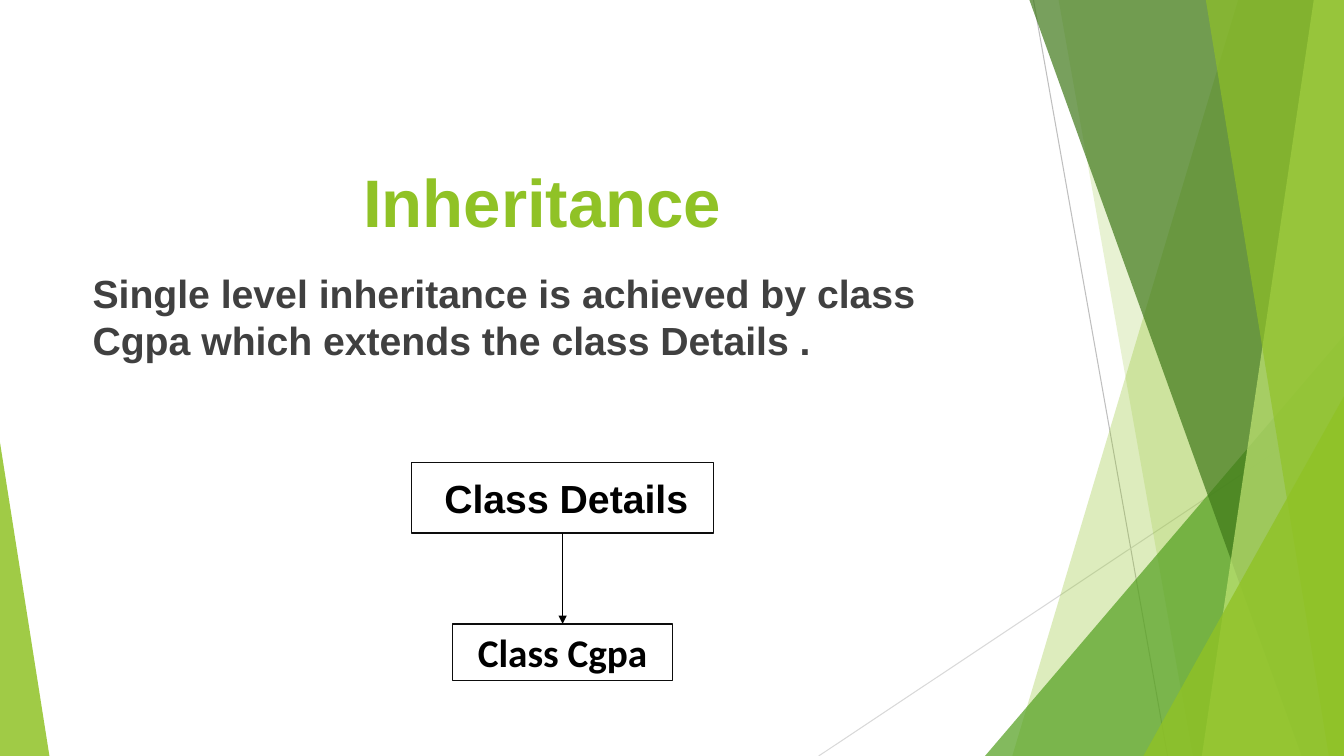
import lxml.etree
import pptx
import pptx.util
import pptx.dml.color
import pptx.enum.shapes
import pptx.enum.text
import pptx.oxml.ns

Inches = pptx.util.Inches
Pt = pptx.util.Pt
RGBColor = pptx.dml.color.RGBColor
MSO_SHAPE = pptx.enum.shapes.MSO_SHAPE
PP_ALIGN = pptx.enum.text.PP_ALIGN
MSO_ANCHOR = pptx.enum.text.MSO_ANCHOR
SubElement = lxml.etree.SubElement
qn = pptx.oxml.ns.qn

LIME = RGBColor(0x90, 0xC2, 0x26)
PALE_LIME = RGBColor(0xC0, 0xE4, 0x74)
GREEN = RGBColor(0x54, 0xA0, 0x21)
DARK_GREEN = RGBColor(0x3F, 0x78, 0x19)
GRAY = RGBColor(0xBF, 0xBF, 0xBF)
LIGHT_GRAY = RGBColor(0xD9, 0xD9, 0xD9)
CHARCOAL = RGBColor(0x40, 0x40, 0x40)
NEAR_BLACK = RGBColor(0x0D, 0x0D, 0x0D)
BLACK = RGBColor(0, 0, 0)
WHITE = RGBColor(0xFF, 0xFF, 0xFF)

W, H = 13.33, 7.5

prs = pptx.Presentation()
prs.slide_width = Inches(W)
prs.slide_height = Inches(H)
s = prs.slides.add_slide(prs.slide_layouts[6])


def add_line(x1, y1, x2, y2, color, width):
    line = s.shapes.add_connector(
        pptx.enum.shapes.MSO_CONNECTOR.STRAIGHT,
        Inches(x1), Inches(y1), Inches(x2), Inches(y2))
    line.line.color.rgb = color
    line.line.width = Pt(width)
    SubElement(line._element.spPr, qn("a:effectLst"))
    return line


def add_text(sp, text, size=28, font="Arial", color=BLACK, align=PP_ALIGN.CENTER,
             anchor=MSO_ANCHOR.MIDDLE, before=0, left=0.1):
    tf = sp.text_frame
    tf.word_wrap = True
    tf.vertical_anchor = anchor
    tf.margin_left = Inches(left)
    p = tf.paragraphs[0]
    p.alignment = align
    p.space_before = Pt(before)
    r = p.add_run()
    r.text = text
    r.font.size = Pt(size)
    r.font.name = font
    r.font.bold = True
    r.font.color.rgb = color


add_line(10.25, 0, 11.58, H, GRAY, 0.75)
add_line(W, 4.03, 8.12, H, LIGHT_GRAY, 0.75)

facets = [
    ("band", (12.28, 10.04), LIME, 30),
    ("band", (10.5, 11.83), LIME, 20),
    ("triangle", (9.77, 3.33, 3.56, 1), GREEN, 72),
    ("band", (10.21, 12.91), DARK_GREEN, 70),
    ("band", (13.03, 11.92), PALE_LIME, 70),
    ("band", (11.96, 13.18), LIME, 65),
    ("triangle", (11.34, 3.93, 1.99, 1), LIME, 80),
    ("triangle", (0, 4.39, 0.49, 0), LIME, 85),
]
for kind, geometry, color, opacity in facets:
    if kind == "band":
        top_x, bottom_x = geometry
        fb = s.shapes.build_freeform(Inches(top_x), 0)
        fb.add_line_segments([(Inches(x), Inches(y)) for x, y in
                              ((W, 0), (W, H), (bottom_x, H))], close=True)
        sp = fb.convert_to_shape()
    else:
        x, y, w, apex = geometry
        sp = s.shapes.add_shape(MSO_SHAPE.ISOSCELES_TRIANGLE, Inches(x), Inches(y),
                                Inches(w), Inches(H - y))
        sp.adjustments[0] = apex
    sp.shadow.inherit = False
    sp.line.fill.background()
    sp.fill.solid()
    sp.fill.fore_color.rgb = color
    fill_color = sp._element.spPr.find(qn("a:solidFill"))[0]
    SubElement(fill_color, qn("a:alpha"), val=str(opacity * 1000))

title = s.shapes.add_textbox(Inches(0.68), Inches(1.46), Inches(9.4), Inches(1.07))
add_text(title, "Inheritance", size=48, color=LIME)

body = s.shapes.add_textbox(Inches(0.82), Inches(2.62), Inches(9.4), Inches(4.24))
add_text(body, "Single level inheritance is achieved by class Cgpa which extends "
         "the class Details .", color=CHARCOAL, align=PP_ALIGN.LEFT,
         anchor=MSO_ANCHOR.TOP, before=10)

classes = [
    ("Class Details", "Arial", 4.08, 4.59, 3, 0.7, 0.17),
    ("Class Cgpa", "Calibri", 4.49, 6.19, 2.18, 0.56, 0.1),
]
for name, font, x, y, w, h, left in classes:
    sp = s.shapes.add_shape(MSO_SHAPE.RECTANGLE, Inches(x), Inches(y), Inches(w), Inches(h))
    sp.shadow.inherit = False
    sp.fill.solid()
    sp.fill.fore_color.rgb = WHITE
    sp.line.color.rgb = NEAR_BLACK
    sp.line.width = Pt(1)
    add_text(sp, name, font=font, left=left)

arrow = add_line(5.58, 5.29, 5.58, 6.19, BLACK, 1)
SubElement(arrow._element.spPr.find(qn("a:ln")), qn("a:tailEnd"), type="triangle")

prs.save("out.pptx")
